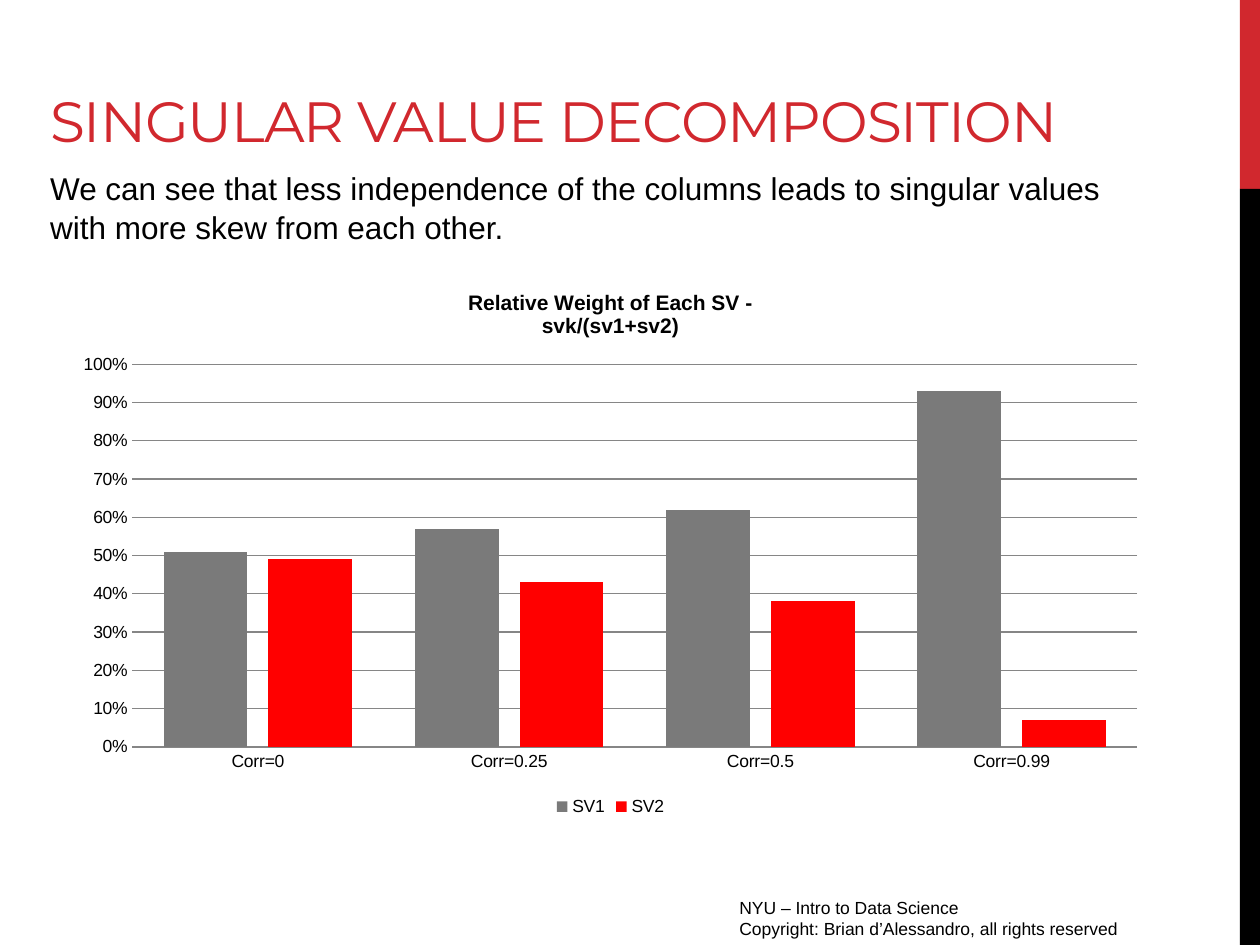
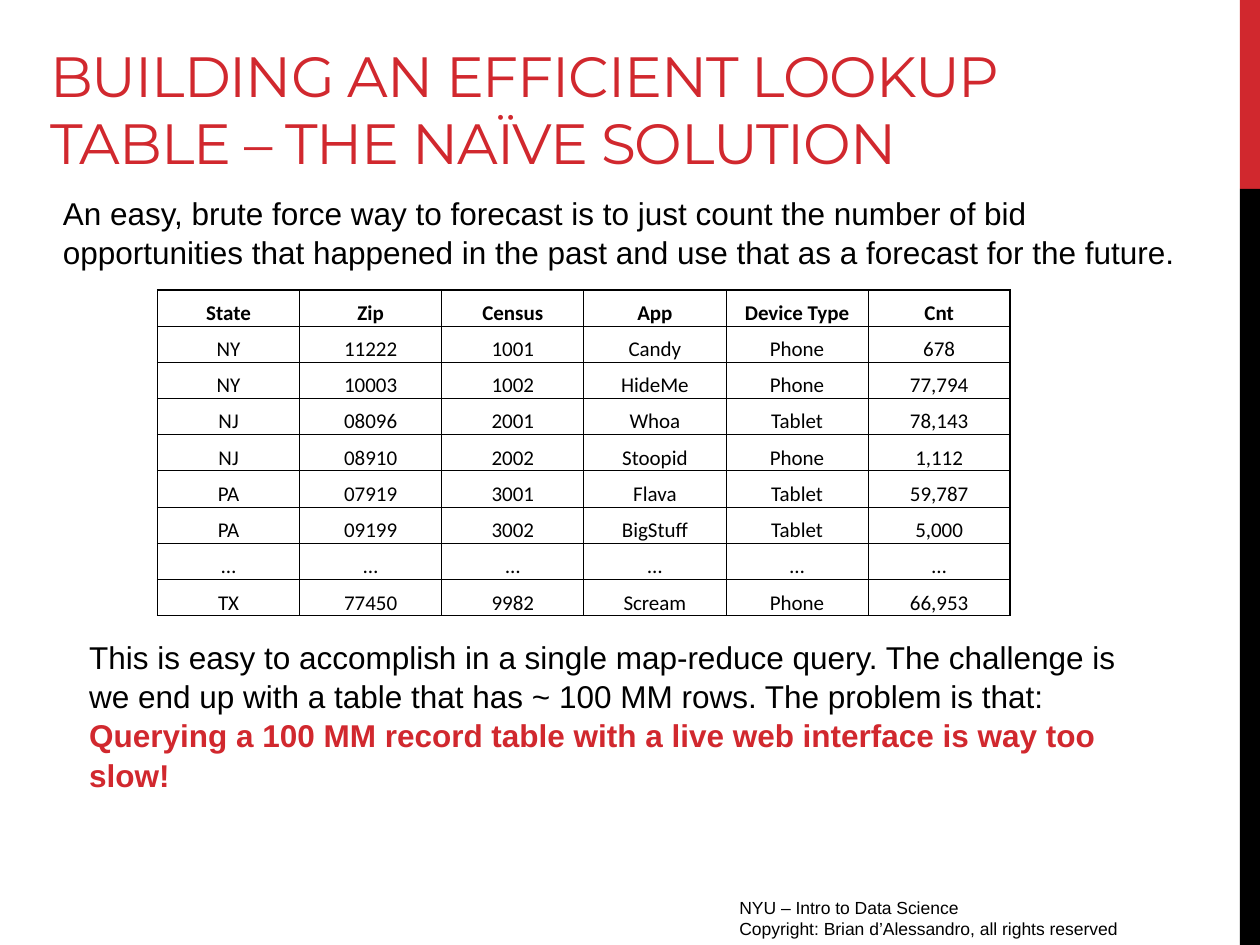
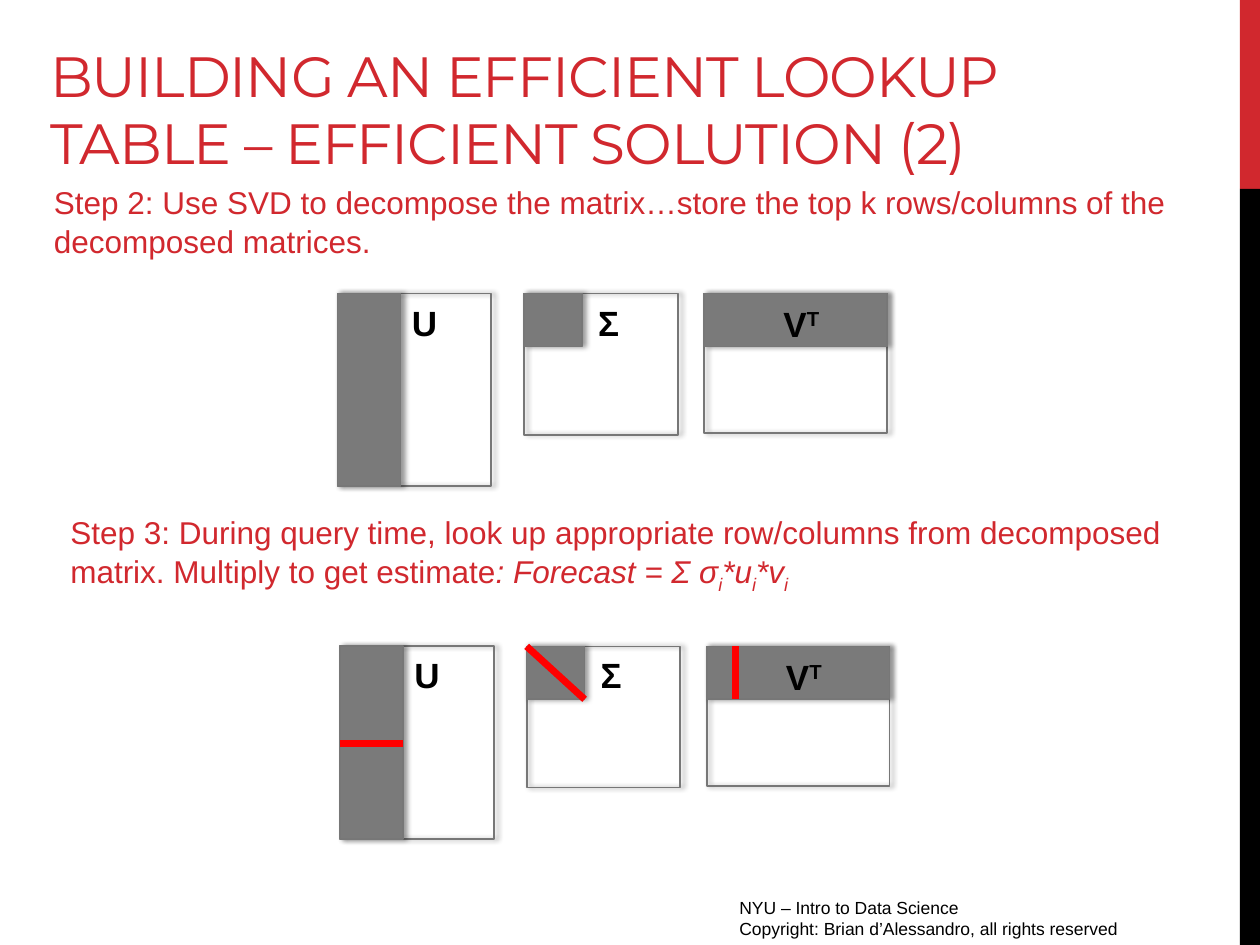
from dataclasses import dataclass

from lxml.etree import SubElement
from pptx import Presentation
from pptx.chart.data import CategoryChartData
from pptx.dml.color import RGBColor
from pptx.enum.chart import XL_CHART_TYPE, XL_LEGEND_POSITION, XL_TICK_MARK
from pptx.enum.shapes import MSO_CONNECTOR, MSO_SHAPE
from pptx.enum.text import MSO_ANCHOR, PP_ALIGN
from pptx.oxml.ns import qn
from pptx.util import Inches, Pt


@dataclass(frozen=True)
class Theme:
    red: str = "D1282E"
    bright_red: str = "FF0000"
    black: str = "000000"
    gray: str = "7A7A7A"
    outline: str = "777777"
    grid: str = "868686"
    heading_font: str = "Montserrat"
    body_font: str = "Arial"
    table_font: str = "Calibri"
    title_size: float = 32.4
    body_size: float = 18
    label_size: float = 20
    table_size: float = 12
    small_size: float = 10
    title_spacing: float = 0.98
    body_spacing: float = 1.04


THEME = Theme()


def color(value):
    return RGBColor.from_string(value)


def inches(box):
    return [Inches(value) for value in box]


def add_run(paragraph, text, size, tint=THEME.black, face=THEME.body_font,
            bold=False, italic=False, baseline=0, tracking=0):
    run = paragraph.add_run()
    run.text = text
    font = run.font
    font.name, font.size, font.bold, font.italic = face, Pt(size), bold, italic
    font.color.rgb = color(tint)
    properties = font._element
    if baseline:
        properties.set("baseline", str(baseline * 1000))
    if tracking:
        properties.set("spc", str(round(tracking * 100)))


def add_text(shapes, box, paragraphs, size=THEME.body_size, spacing=THEME.body_spacing,
             anchor=MSO_ANCHOR.TOP, align=PP_ALIGN.LEFT, **style):
    text_box = shapes.add_textbox(*inches(box))
    frame = text_box.text_frame
    frame.word_wrap = True
    frame.vertical_anchor = anchor
    for index, runs in enumerate(paragraphs):
        paragraph = frame.add_paragraph() if index else frame.paragraphs[0]
        paragraph.alignment = align
        paragraph.line_spacing = spacing
        for text, changes in runs:
            add_run(paragraph, text, size, **{**style, **changes})
    return text_box


def add_band(slide, box, fill):
    band = slide.shapes.add_shape(MSO_SHAPE.RECTANGLE, *inches(box))
    band.shadow.inherit = False
    band.fill.solid()
    band.fill.fore_color.rgb = color(fill)
    band.line.fill.background()


def add_slide(presentation, title, title_box):
    slide = presentation.slides.add_slide(presentation.slide_layouts[6])
    add_band(slide, (9.84, 0, 0.16, 1.5), THEME.red)
    add_band(slide, (9.84, 1.5, 0.16, 6), THEME.black)
    add_text(slide.shapes, (5.77, 7.06, 3.75, 0.31), [
        [("NYU – Intro to Data Science", {})],
        [("Copyright: Brian d’Alessandro, all rights reserved", {})],
    ], THEME.small_size)
    heading = add_text(slide.shapes, title_box, [[(title, {})]], THEME.title_size,
                       THEME.title_spacing, MSO_ANCHOR.BOTTOM, tint=THEME.red,
                       face=THEME.heading_font, tracking=-0.6)
    heading.text_frame.margin_bottom = Inches(0.02)
    return slide


def add_weight_chart(slide, box):
    data = CategoryChartData(number_format="0%")
    data.categories = ["Corr=0", "Corr=0.25", "Corr=0.5", "Corr=0.99"]
    data.add_series("SV1", [0.51, 0.57, 0.62, 0.93])
    data.add_series("SV2", [0.49, 0.43, 0.38, 0.07])
    chart = slide.shapes.add_chart(XL_CHART_TYPE.COLUMN_CLUSTERED, *inches(box), data).chart
    chart.font.name = THEME.body_font
    chart.font.size = Pt(THEME.small_size)
    chart.font.color.rgb = color(THEME.black)

    frame = chart.chart_title.text_frame
    for index, text in enumerate(["Relative Weight of Each SV -", "svk/(sv1+sv2)"]):
        paragraph = frame.add_paragraph() if index else frame.paragraphs[0]
        add_run(paragraph, text, THEME.table_size, bold=True)
    chart.chart_title.include_in_layout = False

    chart.has_legend = True
    chart.legend.position = XL_LEGEND_POSITION.BOTTOM
    chart.legend.include_in_layout = False

    for axis in (chart.category_axis, chart.value_axis):
        axis.major_tick_mark = XL_TICK_MARK.NONE
        axis.minor_tick_mark = XL_TICK_MARK.NONE
    chart.category_axis.format.line.color.rgb = color(THEME.grid)
    values = chart.value_axis
    values.minimum_scale, values.maximum_scale, values.major_unit = 0, 1, 0.1
    values.tick_labels.number_format = "0%"
    values.tick_labels.number_format_is_linked = False
    values.format.line.fill.background()
    values.major_gridlines.format.line.color.rgb = color(THEME.grid)

    plot = chart.plots[0]
    plot.gap_width, plot.overlap, plot.vary_by_categories = 75, -25, False
    for series, fill in zip(plot.series, (THEME.gray, THEME.bright_red)):
        series.format.fill.solid()
        series.format.fill.fore_color.rgb = color(fill)


def set_borders(cell, widths):
    properties = cell._tc.get_or_add_tcPr()
    for index, (side, width) in enumerate(widths.items()):
        line = properties.makeelement(qn(f"a:{side}"), {"w": str(Pt(width))})
        fill = SubElement(line, qn("a:solidFill"))
        SubElement(fill, qn("a:srgbClr"), val=THEME.black)
        properties.insert(index, line)


def add_count_table(slide, box, rows):
    last_row, last_column = len(rows) - 1, len(rows[0]) - 1
    table = slide.shapes.add_table(last_row + 1, last_column + 1, *inches(box)).table
    table.first_row = table.horz_banding = False
    for row in table.rows:
        row.height = Inches(box[3] / len(rows))
    for row_index, row in enumerate(rows):
        for column_index, text in enumerate(row):
            cell = table.cell(row_index, column_index)
            cell.fill.background()
            cell.vertical_anchor = MSO_ANCHOR.BOTTOM
            cell.margin_left = cell.margin_right = cell.margin_top = Inches(0.01)
            cell.margin_bottom = 0
            paragraph = cell.text_frame.paragraphs[0]
            paragraph.alignment = PP_ALIGN.CENTER
            add_run(paragraph, text, THEME.table_size, face=THEME.table_font,
                    bold=row_index == 0)
            outer = {"lnL": column_index == 0, "lnR": column_index == last_column,
                     "lnT": row_index == 0, "lnB": row_index == last_row}
            set_borders(cell, {side: 1 if edge else 0.5 for side, edge in outer.items()})


def add_matrix_block(shapes, box, fill=None):
    block = shapes.add_shape(MSO_SHAPE.RECTANGLE, *inches(box))
    if fill:
        block.fill.solid()
        block.fill.fore_color.rgb = color(fill)
    else:
        block.fill.background()
    block.line.color.rgb = color(THEME.outline)
    block.line.width = Pt(1)
    block.shadow.inherit = False
    effects = block._element.spPr.find(qn("a:effectLst"))
    shadow = SubElement(effects, qn("a:outerShdw"), blurRad=str(Pt(3.1)),
                        dist=str(Pt(1.8)), dir="0", rotWithShape="0")
    tint = SubElement(shadow, qn("a:srgbClr"), val=THEME.black)
    SubElement(tint, qn("a:alpha"), val="40000")


def add_matrices(slide, left, top):
    group = slide.shapes.add_group_shape()
    matrices = [
        (0, (1.22, 1.53), (0.5, 1.53), (0.32, 0.01), [("U", {})]),
        (1.48, (1.22, 1.12), (0.46, 0.42), (1.78, 0.01), [("Σ", {})]),
        (2.91, (1.45, 1.11), (1.45, 0.42), (3.31, 0.02), [("V", {}), ("T", {"baseline": 30})]),
    ]
    for offset, size, *_ in matrices:
        add_matrix_block(group.shapes, (left + offset, top, *size))
    for offset, _, kept, *_ in matrices:
        add_matrix_block(group.shapes, (left + offset, top, *kept), THEME.gray)
    for *_, (x, y), runs in matrices:
        add_text(group.shapes, (left + x, top + y, 0.74, 0.37), [runs], THEME.label_size,
                 spacing=1, align=PP_ALIGN.CENTER, bold=True)


def add_lookup_lines(slide, left, top):
    for start_x, start_y, end_x, end_y in [
        (0, 0.77, 0.5, 0.77), (3.14, 0, 3.14, 0.42), (1.48, 0, 1.94, 0.42),
    ]:
        line = slide.shapes.add_connector(MSO_CONNECTOR.STRAIGHT, *inches(
            (left + start_x, top + start_y, left + end_x, top + end_y)))
        line.line.color.rgb = color(THEME.bright_red)
        line.line.width = Pt(4)
        SubElement(line._element.spPr, qn("a:effectLst"))


def build_decomposition_slide(presentation):
    slide = add_slide(presentation, "SINGULAR VALUE DECOMPOSITION", (0.3, 0, 8.71, 1.26))
    add_text(slide.shapes, (0.3, 1.28, 8.9, 1.01), [[
        ("We can see that less independence of the columns leads to singular values "
         "with more skew from each other.", {})]])
    add_weight_chart(slide, (0.49, 2.13, 8.71, 4.39))


def build_naive_slide(presentation):
    slide = add_slide(presentation, "BUILDING AN EFFICIENT LOOKUP TABLE – THE NAÏVE SOLUTION",
                      (0.3, 0.65, 8.71, 0.78))
    add_text(slide.shapes, (0.4, 1.48, 9.12, 0.71), [[
        ("An easy, brute force way to forecast is to just count the number of bid "
         "opportunities that happened in the past and use that as a forecast for the future.",
         {})]])
    add_count_table(slide, (1.25, 2.3, 6.77, 2.59), [
        ("State", "Zip", "Census", "App", "Device Type", "Cnt"),
        ("NY", "11222", "1001", "Candy", "Phone", "678"),
        ("NY", "10003", "1002", "HideMe", "Phone", "77,794"),
        ("NJ", "08096", "2001", "Whoa", "Tablet", "78,143"),
        ("NJ", "08910", "2002", "Stoopid", "Phone", "1,112"),
        ("PA", "07919", "3001", "Flava", "Tablet", "59,787"),
        ("PA", "09199", "3002", "BigStuff", "Tablet", "5,000"),
        ("…",) * 6,
        ("TX", "77450", "9982", "Scream", "Phone", "66,953"),
    ])
    add_text(slide.shapes, (0.61, 5, 8.56, 1.31), [
        [("This is easy to accomplish in a single map-reduce query. The challenge is we end up "
          "with a table that has ~ 100 MM rows. The problem is that:", {})],
        [("Querying a 100 MM record table with a live web interface is way too slow!",
          {"tint": THEME.red, "bold": True})],
    ])


def build_efficient_slide(presentation):
    slide = add_slide(presentation,
                      "BUILDING AN EFFICIENT LOOKUP TABLE – EFFICIENT SOLUTION (2)",
                      (0.3, 0.65, 8.71, 0.78))
    add_text(slide.shapes, (0.33, 1.39, 9.11, 0.71), [[
        ("Step 2: Use SVD to decompose the matrix…store the top k rows/columns of the "
         "decomposed matrices.", {})]], tint=THEME.red)
    add_matrices(slide, 2.68, 2.33)
    italic = {"italic": True}
    subscript = ("i", {"italic": True, "baseline": -25})
    add_text(slide.shapes, (0.46, 4.01, 9.11, 0.71), [[
        ("Step 3: During query time, look up appropriate row/columns from decomposed matrix. "
         "Multiply to get estimate", {}),
        (": Forecast = Σ σ", italic), subscript,
        ("*u", italic), subscript,
        ("*v", italic), subscript]], tint=THEME.red)
    add_matrices(slide, 2.7, 5.13)
    add_lookup_lines(slide, 2.7, 5.13)


def main():
    presentation = Presentation()
    presentation.slide_width = Inches(10)
    presentation.slide_height = Inches(7.5)
    build_decomposition_slide(presentation)
    build_naive_slide(presentation)
    build_efficient_slide(presentation)
    presentation.save("out.pptx")


if __name__ == "__main__":
    main()
